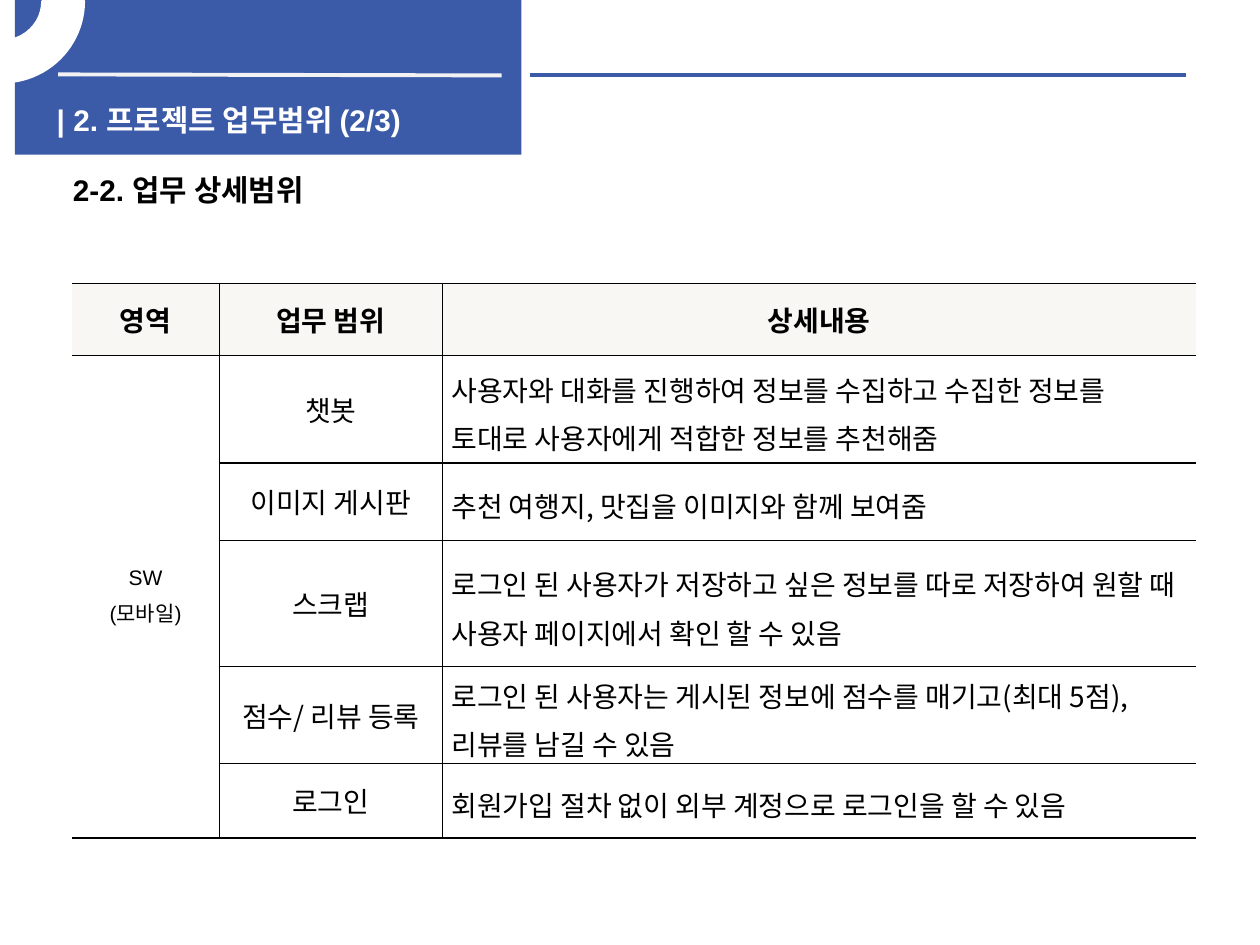
from collections import namedtuple
from dataclasses import dataclass

from lxml import etree
from pptx import Presentation
from pptx.dml.color import RGBColor
from pptx.enum.shapes import MSO_CONNECTOR, MSO_SHAPE
from pptx.enum.text import MSO_ANCHOR, MSO_AUTO_SIZE, PP_ALIGN
from pptx.oxml.ns import qn
from pptx.util import Cm, Pt

RECTANGLE = MSO_SHAPE.RECTANGLE
BLOCK_ARC = MSO_SHAPE.BLOCK_ARC
STRAIGHT = MSO_CONNECTOR.STRAIGHT
LEFT, CENTER = PP_ALIGN.LEFT, PP_ALIGN.CENTER
TOP, MIDDLE = MSO_ANCHOR.TOP, MSO_ANCHOR.MIDDLE
NO_AUTOFIT = MSO_AUTO_SIZE.NONE
TITLE_ONLY = 5

Box = namedtuple("Box", "left top width height")


@dataclass(frozen=True)
class Theme:
    blue: str = "3B5AA8"
    white: str = "FFFFFF"
    rule: str = "F2F2F2"
    black: str = "000000"
    header: str = "F8F7F3"
    latin: str = "Arial"
    korean: str = "Noto Sans CJK KR"
    title_size: int = 17
    table_size: int = 16
    area_size: int = 12
    rule_width: float = 2.25
    border_width: float = 1


THEME = Theme()
COLUMN_WIDTHS = (2.97, 4.5, 15.19)
ROW_HEIGHTS = (1.45, 2.16, 1.57, 2.54, 1.85, 1.5)
HEADERS = ("영역", "업무 범위", "상세내용")
AREA = "SW\n(모바일)"
TASKS = (
    ("챗봇", "사용자와 대화를 진행하여 정보를 수집하고 수집한 정보를 토대로 사용자에게 적합한 정보를 추천해줌"),
    ("이미지 게시판", "추천 여행지, 맛집을 이미지와 함께 보여줌"),
    ("스크랩", "로그인 된 사용자가 저장하고 싶은 정보를 따로 저장하여 원할 때 사용자 페이지에서 확인 할 수 있음"),
    ("점수/ 리뷰 등록", "로그인 된 사용자는 게시된 정보에 점수를 매기고(최대 5점), 리뷰를 남길 수 있음"),
    ("로그인", "회원가입 절차 없이 외부 계정으로 로그인을 할 수 있음"),
)


def rgb(color):
    return RGBColor.from_string(color)


def write(text_frame, text, size, color, font=THEME.latin, bold=False, align=LEFT):
    text_frame.text = text
    for paragraph in text_frame.paragraphs:
        paragraph.alignment = align
        for run in paragraph.runs:
            run.font.name = font
            run.font.size = Pt(size)
            run.font.bold = bold
            run.font.color.rgb = rgb(color)


def write_heading(shape, text, color):
    text_frame = shape.text_frame
    text_frame.word_wrap = True
    text_frame.auto_size = NO_AUTOFIT
    text_frame.vertical_anchor = TOP
    write(text_frame, text, THEME.title_size, color, bold=True)


def add_filled(slide, kind, box, color):
    shape = slide.shapes.add_shape(kind, *map(Cm, box))
    shape.shadow.inherit = False
    shape.fill.solid()
    shape.fill.fore_color.rgb = rgb(color)
    shape.line.fill.background()
    return shape


def add_rule(slide, start, end, color):
    connector = slide.shapes.add_connector(STRAIGHT, *map(Cm, start + end))
    connector.line.color.rgb = rgb(color)
    connector.line.width = Pt(THEME.rule_width)
    etree.SubElement(connector.element.spPr, qn("a:effectLst"))


def add_banner(slide, box, text):
    left, top, width, height = box
    add_filled(slide, RECTANGLE, box, THEME.blue)
    add_rule(slide, (left + 0.87, top + 1.5), (left + 9.81, top + 1.52), THEME.rule)
    add_rule(slide, (left + 10.39, top + 1.52), (left + 23.6, top + 1.52), THEME.blue)

    title = slide.shapes.title
    title.left, title.top = Cm(left + 0.59), Cm(top + 1.93)
    title.width, title.height = Cm(9.19), Cm(0.99)
    write_heading(title, text, THEME.white)
    title.element.getparent().append(title.element)

    arc = add_filled(slide, BLOCK_ARC, Box(left - 1.9, top - 1.6, 3.28, 3.25), THEME.white)
    arc.line.color.rgb = rgb(THEME.white)
    arc.line.width = Pt(2)
    arc.adjustments[0] = 161.587 * 0.6
    arc.adjustments[1] = 0
    arc.adjustments[2] = 0.25
    arc.element.spPr.find(qn("a:xfrm")).set("flipV", "1")


def add_subtitle(slide, box, text):
    write_heading(slide.shapes.add_textbox(*map(Cm, box)), text, THEME.black)


def set_borders(cell, sides):
    properties = cell._tc.get_or_add_tcPr()
    for index, side in enumerate("LRTB"):
        line = etree.Element(qn(f"a:ln{side}"), w=str(Pt(THEME.border_width)))
        if side in sides:
            fill = etree.SubElement(line, qn("a:solidFill"))
            etree.SubElement(fill, qn("a:srgbClr"), val=THEME.black)
        else:
            etree.SubElement(line, qn("a:noFill"))
        properties.insert(index, line)


def border_sides(cell, row, column):
    sides = ("", "L")[column > 0] + ("", "R")[column < len(COLUMN_WIDTHS) - 1]
    if not cell.is_spanned:
        return sides + "TB"
    return sides + ("", "B")[row == len(ROW_HEIGHTS) - 1]


def format_cell(cell, fill=None, side_margin=0.18, end_margin=0):
    cell.vertical_anchor = MIDDLE
    cell.margin_left = cell.margin_right = Cm(side_margin)
    cell.margin_top = cell.margin_bottom = Cm(end_margin)
    if fill:
        cell.fill.solid()
        cell.fill.fore_color.rgb = rgb(fill)
    else:
        cell.fill.background()


def add_scope_table(slide, box):
    table = slide.shapes.add_table(len(ROW_HEIGHTS), len(COLUMN_WIDTHS), *map(Cm, box)).table
    table.horz_banding = False
    for column, width in zip(table.columns, COLUMN_WIDTHS):
        column.width = Cm(width)
    for row, height in zip(table.rows, ROW_HEIGHTS):
        row.height = Cm(height)

    area = table.cell(1, 0)
    area.merge(table.cell(len(TASKS), 0))
    for row in range(len(ROW_HEIGHTS)):
        for column in range(len(COLUMN_WIDTHS)):
            cell = table.cell(row, column)
            if row == 0:
                format_cell(cell, THEME.header, 0.25, 0.13)
            else:
                format_cell(cell)
            set_borders(cell, border_sides(cell, row, column))

    for column, text in enumerate(HEADERS):
        write(table.cell(0, column).text_frame, text, THEME.table_size, THEME.black, bold=True, align=CENTER)

    write(area.text_frame, AREA, THEME.area_size, THEME.black, align=CENTER)
    for paragraph in area.text_frame.paragraphs:
        paragraph.space_before = paragraph.space_after = Pt(2)

    for row, (task, detail) in enumerate(TASKS, start=1):
        for column, text, align in ((1, task, CENTER), (2, detail, LEFT)):
            text_frame = table.cell(row, column).text_frame
            write(text_frame, text, THEME.table_size, THEME.black, THEME.korean, align=align)
        text_frame.paragraphs[0].line_spacing = 1.2


def main():
    presentation = Presentation()
    presentation.slide_width, presentation.slide_height = Cm(25.4), Cm(19.05)
    slide = presentation.slides.add_slide(presentation.slide_layouts[TITLE_ONLY])
    add_banner(slide, Box(0.3, 0, 10.21, 3.12), "| 2. 프로젝트 업무범위 (2/3)")
    add_subtitle(slide, Box(1.22, 3.33, 8.99, 0.79), "2-2. 업무 상세범위")
    add_scope_table(slide, Box(1.45, 5.72, sum(COLUMN_WIDTHS), sum(ROW_HEIGHTS)))
    presentation.save("out.pptx")


if __name__ == "__main__":
    main()
